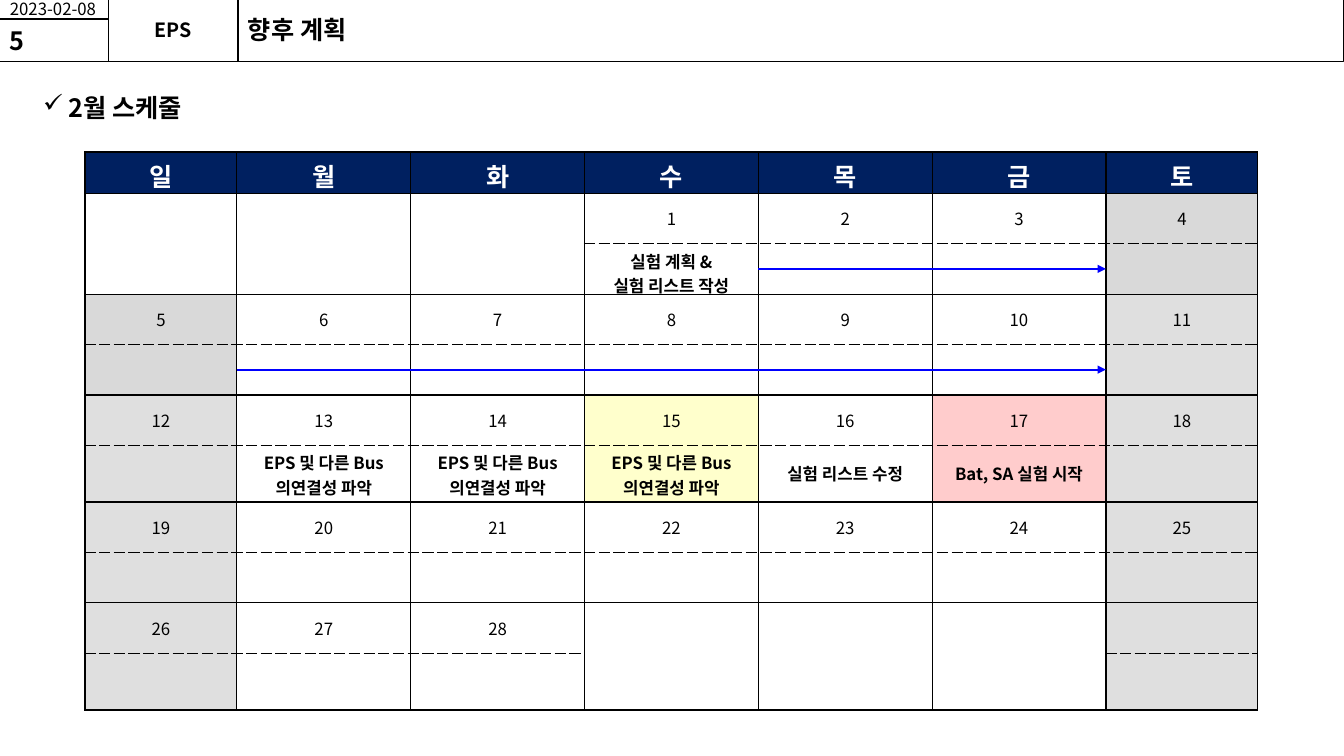
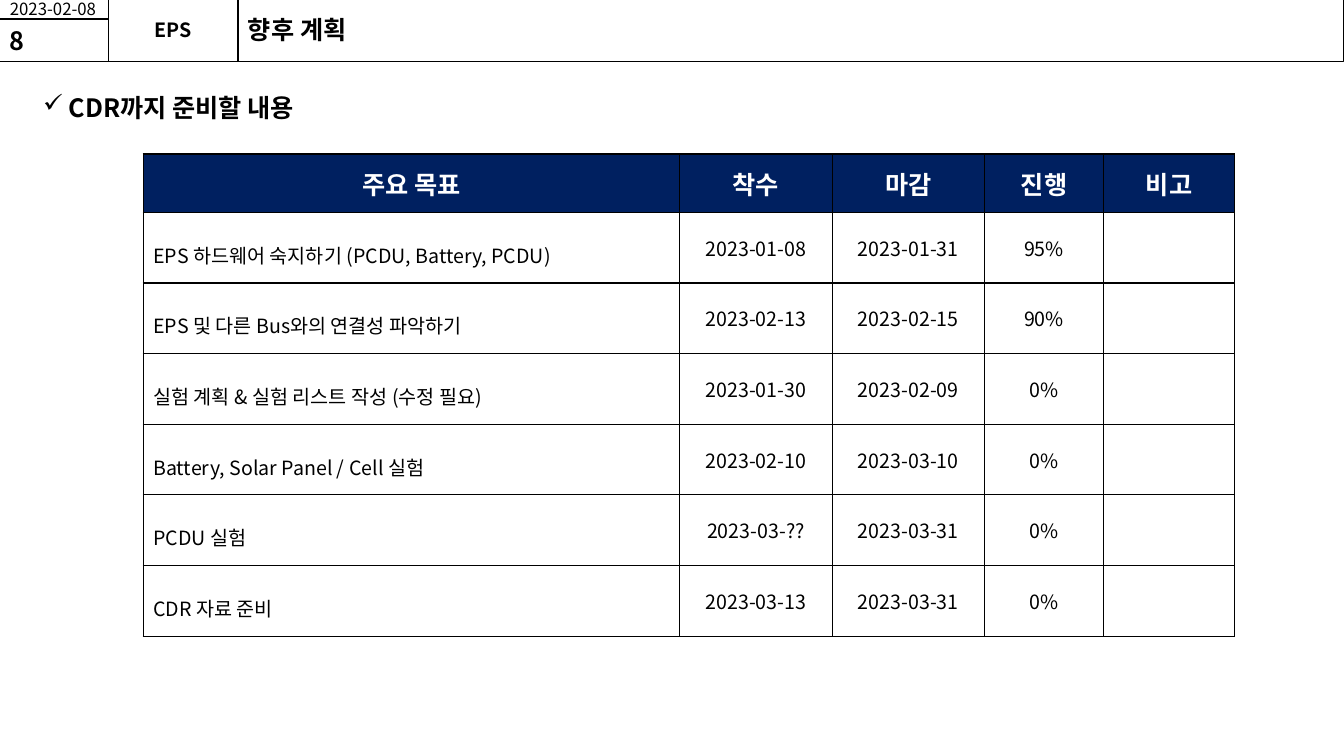
from pptx import Presentation
from pptx.dml.color import RGBColor
from pptx.enum.shapes import MSO_CONNECTOR, MSO_SHAPE
from pptx.enum.text import MSO_ANCHOR, MSO_AUTO_SIZE, PP_ALIGN
from pptx.oxml.ns import qn
from pptx.util import Cm, Pt
from lxml.etree import SubElement

COLORS = {
    "black": "000000",
    "white": "FFFFFF",
    "navy": "002060",
    "blue": "0000FF",
    "gray": "D9D9D9",
    "light": "DFDFDF",
    "yellow": "FFFFCC",
    "pink": "FFCCCC",
}
FONT = "Noto Sans CJK KR"
SIDES = {"L": "lnL", "R": "lnR", "T": "lnT", "B": "lnB"}


def rgb(name):
    return RGBColor.from_string(COLORS[name])


class Deck:
    def __init__(self):
        self.prs = Presentation()
        self.prs.slide_width, self.prs.slide_height = Cm(33.87), Cm(19.05)
        self.s = None

    def slide(self, number, heading):
        self.s = self.prs.slides.add_slide(self.prs.slide_layouts[6])
        self.heading(heading)
        self.box(6, -0.03, 27.87, 1.57)
        self.box(0, -0.03, 2.74, 0.5, "2023-02-08", 12)
        sp = self.box(2.74, -0.03, 3.26, 1.57, "EPS", 14, True, PP_ALIGN.CENTER)
        tf = sp.text_frame
        tf.margin_left = tf.margin_right = tf.margin_top = tf.margin_bottom = 0
        self.box(0, 0.48, 2.74, 1.06, number, 18, True)
        tf = self.text_box(6, 0.23, 18.52, 1.02)
        tf.auto_size = MSO_AUTO_SIZE.SHAPE_TO_FIT_TEXT
        self.put_text(tf, "향후 계획", 18, True)

    def put_text(self, tf, text, size, bold=False, align=PP_ALIGN.LEFT,
                 color="black", spacing=None):
        for i, line in enumerate(text.split("\n")):
            p = tf.paragraphs[0] if i == 0 else tf.add_paragraph()
            p.alignment = align
            if spacing:
                p.line_spacing = spacing
            for j, part in enumerate(line.split("\v")):
                if j:
                    p.add_line_break()
                r = p.add_run()
                r.text = part
                r.font.size, r.font.bold = Pt(size), bold
                r.font.color.rgb = rgb(color)
                r.font.name = FONT
                SubElement(r.font._element, qn("a:ea"), typeface=FONT)

    def text_box(self, x, y, w, h):
        tf = self.s.shapes.add_textbox(Cm(x), Cm(y), Cm(w), Cm(h)).text_frame
        tf.word_wrap = True
        return tf

    def heading(self, text):
        tf = self.text_box(0.84, 2.29, 30.28, 15.47)
        pPr = tf.paragraphs[0]._p.get_or_add_pPr()
        pPr.set("marL", str(Cm(0.64)))
        pPr.set("indent", str(-Cm(0.64)))
        SubElement(pPr, qn("a:buChar"), char="✓")
        self.put_text(tf, text, 18, True, spacing=0.9)

    def box(self, x, y, w, h, text="", size=12, bold=False, align=PP_ALIGN.LEFT):
        sp = self.s.shapes.add_shape(MSO_SHAPE.RECTANGLE, Cm(x), Cm(y), Cm(w), Cm(h))
        sp.shadow.inherit = False
        sp.fill.background()
        sp.line.color.rgb = rgb("black")
        sp.line.width = Pt(0.75)
        sp.text_frame.vertical_anchor = MSO_ANCHOR.MIDDLE
        if text:
            self.put_text(sp.text_frame, text, size, bold, align)
        return sp

    def arrow(self, x1, x2, y):
        c = self.s.shapes.add_connector(MSO_CONNECTOR.STRAIGHT, Cm(x1), Cm(y), Cm(x2), Cm(y))
        c.line.color.rgb = rgb("blue")
        c.line.width = Pt(1.5)
        SubElement(c.line._get_or_add_ln(), qn("a:tailEnd"), type="triangle")
        SubElement(c._element.spPr, qn("a:effectLst"))

    def table(self, x, y, cols, rows, header):
        frame = self.s.shapes.add_table(len(rows), len(cols), Cm(x), Cm(y),
                                        Cm(sum(cols)), Cm(sum(rows)))
        t = frame.table
        t.first_row = t.horz_banding = False
        for col, w in zip(t.columns, cols):
            col.width = Cm(w)
        for row, h in zip(t.rows, rows):
            row.height = Cm(h)
        for i, text in enumerate(header):
            self.cell(t.cell(0, i), text, 18, True, fill="navy", color="white")
        return t

    def cell(self, cell, text="", size=12, bold=False, align=PP_ALIGN.CENTER,
             fill=None, color="black", dash="", spacing=None):
        tcPr = cell._tc.get_or_add_tcPr()
        for side, tag in SIDES.items():
            ln = SubElement(tcPr, qn("a:" + tag), w=str(Pt(1)))
            SubElement(SubElement(ln, qn("a:solidFill")), qn("a:srgbClr"), val=COLORS["black"])
            SubElement(ln, qn("a:prstDash"), val="sysDash" if side == dash else "solid")
        cell.vertical_anchor = MSO_ANCHOR.MIDDLE
        if fill:
            cell.fill.solid()
            cell.fill.fore_color.rgb = rgb(fill)
        else:
            cell.fill.background()
        if text:
            self.put_text(cell.text_frame, text, size, bold, align, color, spacing)


def schedule(deck):
    deck.slide("5", "2월 스케줄")
    left, top = 2.14, 3.83
    cols = [3.83] + [4.38] * 5 + [3.83]
    rows = [1.04] + [1.27] * 5 + [1.43] + [1.27] * 3 + [1.43]
    t = deck.table(left, top, cols, rows, "일월화수목금토")
    link = "EPS 및 다른 Bus\v의연결성 파악"
    notes = {1: "실험 계획 &\n실험 리스트 작성", 13: link, 14: link, 15: link,
             16: "실험 리스트 수정", 17: "Bat, SA 실험 시작"}
    marks = {15: "yellow", 17: "pink"}
    for week in range(5):
        for col in range(7):
            day = week * 7 + col - 2
            in_month = 1 <= day <= 28
            upper, lower = (t.cell(week * 2 + k, col) for k in (1, 2))
            if not in_month and col != 6:
                deck.cell(upper)
                deck.cell(lower)
                upper.merge(lower)
                continue
            fill = marks.get(day)
            if col in (0, 6):
                fill = "gray" if day <= 5 else "light"
            deck.cell(upper, str(day) if in_month else "", fill=fill, dash="B")
            deck.cell(lower, notes.get(day, ""), bold=True, fill=fill, dash="T")
    for first_col, row in ((4, 2), (1, 4)):
        deck.arrow(left + sum(cols[:first_col]), left + sum(cols[:6]),
                   top + sum(rows[:row]) + rows[row] / 2)


def goals(deck):
    deck.slide("8", "CDR까지 준비할 내용")
    data = [
        ("EPS 하드웨어 숙지하기 (PCDU, Battery, PCDU)", "2023-01-08", "2023-01-31", "95%", ""),
        ("EPS 및 다른 Bus와의 연결성 파악하기", "2023-02-13", "2023-02-15", "90%", ""),
        ("실험 계획 & 실험 리스트 작성 (수정 필요)", "2023-01-30", "2023-02-09", "0%", ""),
        ("Battery, Solar Panel / Cell 실험", "2023-02-10", "2023-03-10", "0%", ""),
        ("PCDU 실험", "2023-03-??", "2023-03-31", "0%", ""),
        ("CDR 자료 준비", "2023-03-13", "2023-03-31", "0%", ""),
    ]
    t = deck.table(3.61, 3.88, [13.52, 3.84, 3.84, 3, 3.3], [1.47] + [1.78] * len(data),
                   ["주요 목표", "착수", "마감", "진행", "비고"])
    for i, row in enumerate(data, 1):
        for j, text in enumerate(row):
            align, spacing = (PP_ALIGN.CENTER, None) if j else (PP_ALIGN.LEFT, 1.5)
            deck.cell(t.cell(i, j), text, 14, align=align, fill="white", spacing=spacing)


def main():
    deck = Deck()
    schedule(deck)
    goals(deck)
    deck.prs.save("out.pptx")


if __name__ == "__main__":
    main()
